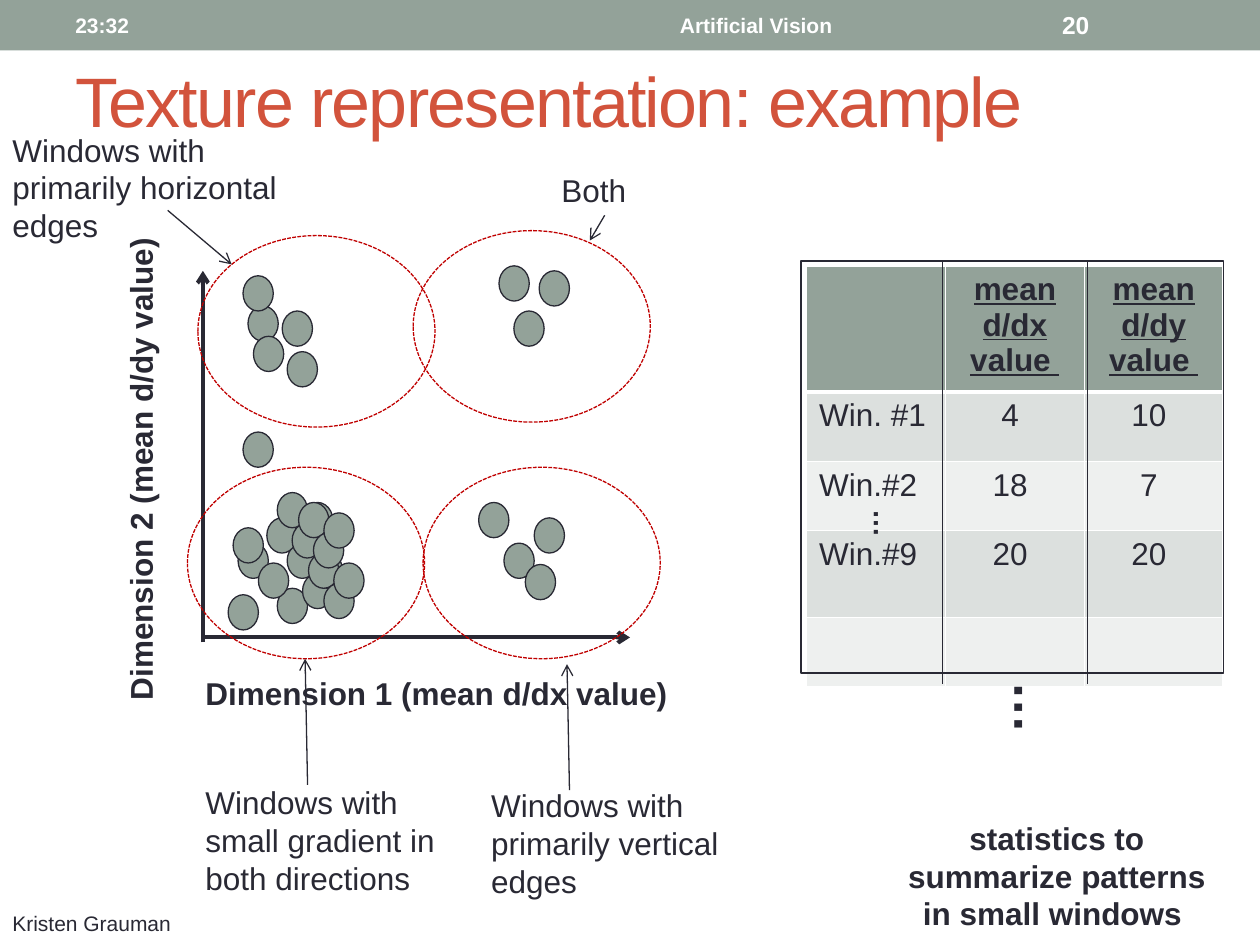
import pptx
import pptx.dml.color
import pptx.enum.shapes
import pptx.enum.text
import pptx.oxml.ns
import pptx.util
from lxml import etree

Cm, Pt = pptx.util.Cm, pptx.util.Pt
qn = pptx.oxml.ns.qn
Align = pptx.enum.text.PP_ALIGN
Anchor = pptx.enum.text.MSO_ANCHOR
Kind = pptx.enum.shapes.MSO_SHAPE

HEX = {
    "ink": "292934", "sage": "93A299", "title": "D2533C", "white": "FFFFFF",
    "ring": "C00000", "dark": "DCE0DE", "light": "EEF0EF",
}

# Centimetres: left, top of each window in the scatter plot
DOTS = [
    (4.9, 8.71), (9.65, 10.13), (10.87, 5.46), (10.06, 5.36), (10.36, 6.27),
    (10.16, 10.95), (5, 6.17), (5.79, 7.09), (10.77, 10.44), (4.8, 10.95),
    (5.59, 11.86), (5.79, 10.95), (6.1, 11.56), (4.6, 11.99), (5.21, 11.35),
    (5.38, 10.44), (6.3, 11.15), (4.7, 10.64), (5.69, 6.27), (4.9, 5.56),
    (10.59, 11.38), (5.11, 6.78), (6.22, 11.15), (6.53, 11.76), (6.73, 11.35),
    (5.59, 9.93), (5.89, 10.54), (6.1, 10.13), (6.02, 10.13), (6.32, 10.74),
    (6.53, 10.34),
]

# Ring corner, label, label box, arrow
GROUPS = [
    ((3.78, 9.42), "Windows with small gradient in both directions",
     (3.89, 15.67, 5.28, 2.57), (6.2, 15.82, 6.15, 13.28)),
    ((8.53, 9.42), "Windows with primarily vertical edges",
     (9.65, 15.72, 5.28, 2.57), (11.48, 15.93, 11.43, 13.39)),
    ((3.99, 4.75), "Windows with primarily horizontal edges",
     (0, 2.51, 5.99, 2.57), (3.38, 4.24, 4.67, 5.33)),
    ((8.33, 4.65), "Both",
     (11.07, 3.33, 5.28, 1.02), (12.19, 4.34, 11.89, 4.85)),
]

ROWS = [
    ("", "mean d/dx value ", "mean d/dy value "),
    ("Win. #1", "4", "10"),
    ("Win.#2", "18", "7"),
    ("Win.#9", "20", "20"),
    ("", "", ""),
]
HIGHS = [2.41, 1.4, 1.4, 1.75, 1.4]


def rgb(name):
    return pptx.dml.color.RGBColor.from_string(HEX[name])


def style(para, size, color="ink", bold=False, align=None):
    para.alignment = align
    for run in para.runs:
        font = run.font
        font.name, font.size, font.bold = "Arial", Pt(size), bold
        font.color.rgb = rgb(color)


def label(slide, text, box, size=18, color="ink", bold=False, align=None,
          mid=False, turn=0):
    shape = slide.shapes.add_textbox(*map(Cm, box))
    frame = shape.text_frame
    frame.word_wrap = True
    if mid:
        frame.vertical_anchor = Anchor.MIDDLE
    frame.text = text
    style(frame.paragraphs[0], size, color, bold, align)
    shape.rotation = turn
    return shape


def figure(slide, kind, box, fill=None, line=None, dash=False):
    shape = slide.shapes.add_shape(kind, *map(Cm, box))
    shape.shadow.inherit = False
    if fill:
        shape.fill.solid()
        shape.fill.fore_color.rgb = rgb(fill)
    else:
        shape.fill.background()
    if line:
        shape.line.color.rgb = rgb(line)
        shape.line.width = Pt(0.75)
    else:
        shape.line.fill.background()
    if dash:
        edge = shape._element.spPr.find(qn("a:ln"))
        etree.SubElement(edge, qn("a:prstDash"), val="sysDash")


def stroke(slide, ends, width=0.75, arrow=True):
    link = slide.shapes.add_connector(
        pptx.enum.shapes.MSO_CONNECTOR.STRAIGHT, *map(Cm, ends))
    link.line.color.rgb = rgb("ink")
    link.line.width = Pt(width)
    props = link._element.spPr
    if arrow:
        etree.SubElement(props.find(qn("a:ln")), qn("a:tailEnd"), type="arrow")
    etree.SubElement(props, qn("a:effectLst"))


def border(cell, side, width):
    props = cell._tc.get_or_add_tcPr()
    edge = etree.SubElement(props, qn("a:ln" + side), w=str(Pt(width)))
    fill = etree.SubElement(edge, qn("a:solidFill"))
    etree.SubElement(fill, qn("a:srgbClr"), val=HEX["white"])


def grid(slide):
    table = slide.shapes.add_table(
        len(ROWS), 3, Cm(16.26), Cm(5.36), Cm(8.4), Cm(sum(HIGHS))).table
    for col in table.columns:
        col.width = Cm(2.8)
    for r, row in enumerate(ROWS):
        table.rows[r].height = Cm(HIGHS[r])
        for c, text in enumerate(row):
            cell = table.cell(r, c)
            for side in "LRTB":
                thick = (r, side) in ((0, "B"), (1, "T"))
                border(cell, side, 3 if thick else 1)
            cell.fill.solid()
            tint = "sage" if r == 0 else "dark" if r % 2 else "light"
            cell.fill.fore_color.rgb = rgb(tint)
            para = cell.text_frame.paragraphs[0]
            para.text = text
            style(para, 18, bold=r == 0, align=Align.CENTER if c else None)
            for run in para.runs:
                run.font.underline = r == 0
            if r and c:
                cell.margin_right = Cm(0.45)


def header(slide):
    figure(slide, Kind.RECTANGLE, (0, 0, 25.4, 1.02), "sage")
    title = label(slide, "Texture representation: example",
                  (1.27, 0.64, 22.86, 2.74), 40, "title", mid=True)
    run = title.text_frame.paragraphs[0].runs[0]
    run._r.get_or_add_rPr().set("spc", "-100")
    for text, left, width, size, align in (
            ("23:32", 1.27, 8.05, 12, None),
            ("Artificial Vision", 9.53, 11.43, 12, Align.CENTER),
            ("20", 21.16, 2.97, 14, None)):
        label(slide, text, (left, 0.05, width, 0.91), size, "white", True,
              align, mid=True)


def plot(slide):
    # Axes and their names
    stroke(slide, (4.09, 12.85, 12.7, 12.85), 2.25)
    stroke(slide, (4.09, 12.95, 4.09, 5.46), 2.25)
    label(slide, "Dimension 1 (mean d/dx value)",
          (3.89, 13.46, 12.47, 1.02), bold=True)
    label(slide, "Dimension 2 (mean d/dy value)",
          (-3.4, 7.62, 12.47, 1.02), bold=True, turn=270)
    # Windows, then the rings that group them
    for spot in DOTS:
        figure(slide, Kind.OVAL, (*spot, 0.61, 0.71), "sage", "ink")
    for spot, text, box, ends in GROUPS:
        figure(slide, Kind.OVAL, (*spot, 4.78, 3.86), line="ring", dash=True)
        label(slide, text, box)
        stroke(slide, ends)


def stats(slide):
    label(slide, "statistics to summarize patterns in small windows ",
          (17.75, 16.38, 7.11, 2.57), bold=True, align=Align.CENTER)
    grid(slide)
    # Frame and rules over the table
    figure(slide, Kind.RECTANGLE, (16.15, 5.26, 8.51, 8.31), line="ink")
    for x in (19, 21.92):
        stroke(slide, (x, 5.26, x, 13.79), arrow=False)
    # Upright dots for skipped rows
    label(slide, "…", (18.57, 14.99, 4.57, 1.55), 30, bold=True, turn=90)
    label(slide, "…", (13.67, 13.72, 8.33, 0.94), 16, bold=True, turn=90)


def main():
    deck = pptx.Presentation()
    deck.slide_width, deck.slide_height = Cm(25.4), Cm(19.05)
    slide = deck.slides.add_slide(deck.slide_layouts[6])
    header(slide)
    stats(slide)
    plot(slide)
    label(slide, "Kristen Grauman", (0, 18.24, 9.7, 0.76), 12)
    deck.save("out.pptx")


if __name__ == "__main__":
    main()
